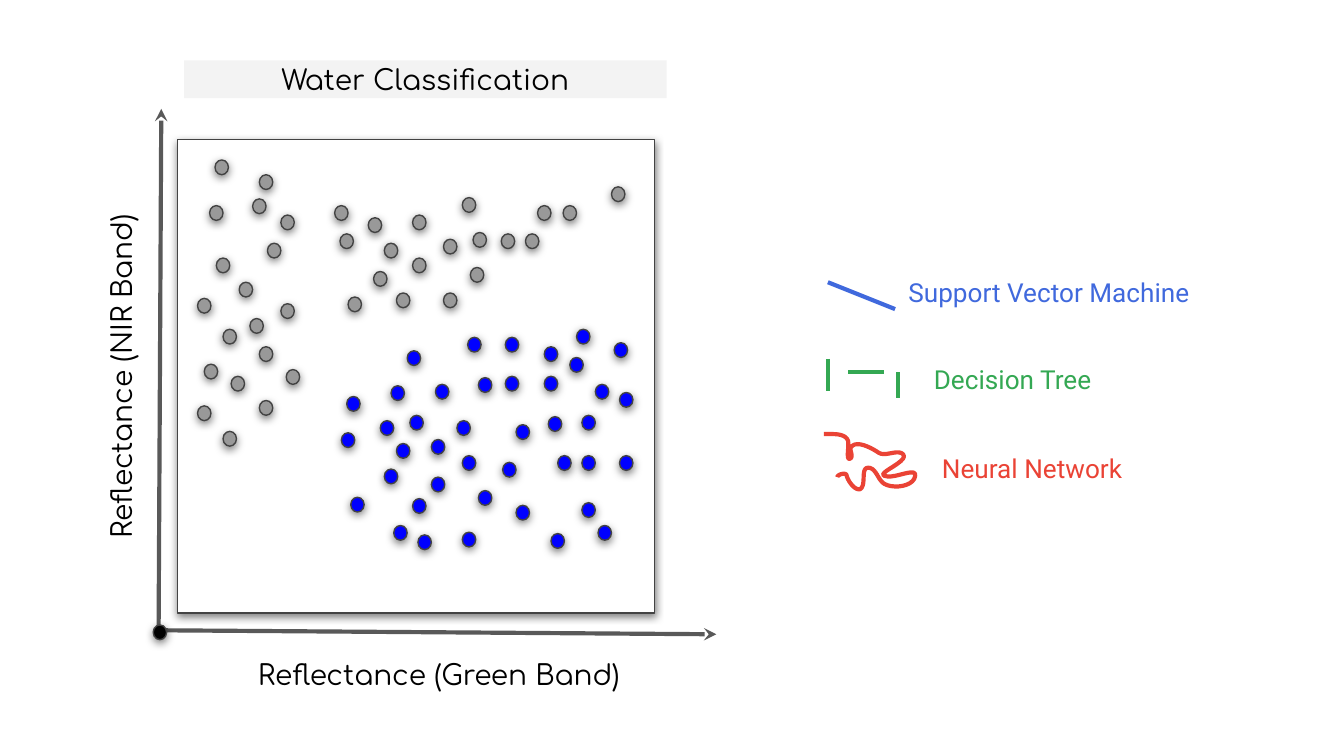
"""Build the water classification slide: a scatter sketch and its legend."""
from dataclasses import dataclass

from lxml.etree import SubElement
from pptx import Presentation
from pptx.dml.color import RGBColor
from pptx.enum.shapes import MSO_CONNECTOR, MSO_SHAPE
from pptx.enum.text import MSO_ANCHOR, MSO_AUTO_SIZE, PP_ALIGN
from pptx.oxml.ns import qn
from pptx.util import Cm, Pt


@dataclass(frozen=True)
class Theme:
    """Colours, fonts and sizes of the slide."""
    black: str = "000000"
    white: str = "FFFFFF"
    band: str = "F3F3F3"
    outline: str = "434343"
    axis: str = "595959"
    land: str = "999999"
    water: str = "0000FF"
    svm: str = "4069DD"
    tree: str = "34A853"
    network: str = "EA4335"
    label_font: str = "Comfortaa"
    legend_font: str = "Roboto"
    label_size: int = 15
    legend_size: int = 14
    thin: float = 0.75
    thick: float = 2.25


T = Theme()
DOT = (0.1, 0.11)

LAND = [
    (1.6, 1.19), (1.56, 1.53), (1.93, 1.3), (1.99, 1.81), (1.61, 1.92), (2.09, 1.6),
    (2.53, 1.74), (2.78, 2.02), (2.09, 2.26), (1.93, 2.58), (1.66, 2.45), (3.3, 2.18),
    (3.07, 1.92), (1.93, 2.98), (3.73, 1.74), (3.07, 1.6), (3.3, 1.78), (1.66, 3.21),
    (1.47, 2.22), (1.88, 1.48), (4.19, 1.53), (1.78, 2.1), (2.13, 2.75), (2.86, 1.81),
    (2.59, 2.21), (1.52, 2.71), (2.95, 2.18), (2.74, 1.62), (3.44, 1.47), (4, 1.53),
    (1.86, 2.37), (1.47, 3.02), (3.5, 1.99), (4.55, 1.39), (2.49, 1.53), (3.52, 1.73),
    (3.91, 1.74), (1.72, 2.8),
]
WATER = [
    (3.56, 2.81), (2.58, 2.95), (2.91, 2.87), (3.76, 2.51), (3.48, 2.51), (4.61, 2.92),
    (3.24, 2.86), (2.95, 3.3), (3.4, 3.13), (4.05, 2.58), (4.24, 2.66), (4.29, 2.45),
    (2.83, 3.13), (2.54, 3.22), (3.44, 3.39), (3.84, 3.16), (3.07, 3.71), (3.74, 3.44),
    (4.15, 3.39), (3.56, 3.65), (3.84, 3.76), (3.03, 2.61), (4.43, 2.86), (4.08, 3.1),
    (3.21, 3.27), (4.05, 2.8), (3.76, 2.8), (4.57, 2.55), (2.86, 3.49), (4.33, 3.09),
    (4.33, 3.74), (3.21, 3.55), (3.11, 3.98), (4.61, 3.39), (4.33, 3.39), (3.05, 3.09),
    (3.44, 3.96), (2.61, 3.7), (4.1, 3.97), (2.93, 3.91), (4.45, 3.91),
]
LEGEND = [
    ("Support Vector Machine", (6.66, 1.92, 2.41, 0.56), T.svm),
    ("Decision Tree", (6.85, 2.57, 1.76, 0.48), T.tree),
    ("Neural Network", (6.91, 3.23, 1.76, 0.48), T.network),
]
TREE_SPLITS = [(6.16, 2.67, 6.16, 2.91), (6.31, 2.77, 6.58, 2.77), (6.68, 2.77, 6.68, 2.96)]
SQUIGGLE_START = (6.13, 3.23)
SQUIGGLE = [
    (6.19, 3.23, 6.29, 3.22, 6.31, 3.28), (6.32, 3.32, 6.29, 3.44, 6.33, 3.41),
    (6.35, 3.39, 6.32, 3.35, 6.33, 3.33), (6.37, 3.27, 6.48, 3.33, 6.54, 3.37),
    (6.59, 3.4, 6.68, 3.34, 6.72, 3.38), (6.77, 3.43, 6.52, 3.52, 6.58, 3.54),
    (6.65, 3.57, 6.82, 3.47, 6.81, 3.54), (6.8, 3.62, 6.65, 3.64, 6.58, 3.6),
    (6.53, 3.57, 6.52, 3.48, 6.46, 3.48), (6.4, 3.48, 6.45, 3.61, 6.4, 3.64),
    (6.36, 3.65, 6.31, 3.58, 6.3, 3.54), (6.3, 3.51, 6.23, 3.53, 6.23, 3.55),
]


def cm(*inches):
    """Turn lengths in inches into a list of Cm lengths."""
    return [Cm(v * 2.54) for v in inches]


def rgb(color):
    """Turn a hex string into a colour."""
    return RGBColor.from_string(color)


def set_line(sp, color, width):
    """Give a shape or connector a solid line."""
    sp.line.color.rgb = rgb(color)
    sp.line.width = Pt(width)


def write(tf, text, *, font=T.label_font, size=T.label_size, color=T.black,
          align=PP_ALIGN.CENTER, anchor=MSO_ANCHOR.TOP, spacing=None, after=None):
    """Write one formatted paragraph into a text frame."""
    tf.word_wrap = True
    tf.auto_size = MSO_AUTO_SIZE.NONE
    tf.vertical_anchor = anchor
    tf.margin_left, tf.margin_top, tf.margin_right, tf.margin_bottom = cm(0.1, 0.1, 0.1, 0.1)
    p = tf.paragraphs[0]
    p.alignment = align
    if spacing:
        p.line_spacing = spacing
    if after:
        p.space_after = Pt(after)
    r = p.add_run()
    r.text = text
    r.font.name, r.font.size, r.font.color.rgb = font, Pt(size), rgb(color)


def add_label(s, text, box, **fmt):
    """Add a text box and return it."""
    sp = s.shapes.add_textbox(*cm(*box))
    write(sp.text_frame, text, **fmt)
    return sp


def add_title(s, text, box):
    """Place the title on its grey band."""
    sp = s.shapes.title
    sp.left, sp.top, sp.width, sp.height = cm(*box)
    sp.fill.solid()
    sp.fill.fore_color.rgb = rgb(T.band)
    write(sp.text_frame, text, anchor=MSO_ANCHOR.MIDDLE)


def add_shadowed(s, kind, box, fill):
    """Add an outlined shape with a soft shadow below it."""
    sp = s.shapes.add_shape(kind, *cm(*box))
    sp.fill.solid()
    sp.fill.fore_color.rgb = rgb(fill)
    set_line(sp, T.outline, T.thin)
    sp.shadow.inherit = False
    effects = sp._element.spPr.find(qn("a:effectLst"))
    shadow = SubElement(effects, qn("a:outerShdw"), blurRad=str(Pt(4.5)), dist=str(Pt(1.5)),
                        dir="5400000", algn="bl", rotWithShape="0")
    color = SubElement(shadow, qn("a:srgbClr"), val=T.black)
    SubElement(color, qn("a:alpha"), val="50000")


def add_line(s, ends, color, arrow=False):
    """Add a straight line, with an arrowhead at its end if asked."""
    sp = s.shapes.add_connector(MSO_CONNECTOR.STRAIGHT, *cm(*ends))
    set_line(sp, color, T.thick)
    if arrow:
        SubElement(sp.line._get_or_add_ln(), qn("a:tailEnd"), type="stealth")
    SubElement(sp._element.spPr, qn("a:effectLst"))


def curve_points(start, curves, steps=10):
    """Sample a chain of cubic curves after its start point."""
    points = []
    x0, y0 = start
    for x1, y1, x2, y2, x3, y3 in curves:
        for i in range(1, steps + 1):
            t = i / steps
            u = 1 - t
            weights = (u ** 3, 3 * u * u * t, 3 * u * t * t, t ** 3)
            points.append(cm(*(sum(w * v for w, v in zip(weights, axis))
                               for axis in ((x0, x1, x2, x3), (y0, y1, y2, y3)))))
        x0, y0 = x3, y3
    return points


def add_curve(s, start, curves, color):
    """Add an open smooth outline."""
    builder = s.shapes.build_freeform(*cm(*start))
    builder.add_line_segments(curve_points(start, curves), close=False)
    sp = builder.convert_to_shape()
    sp.fill.background()
    set_line(sp, color, T.thick)
    sp.shadow.inherit = False


def add_plot(s):
    """Add the axes, the plot area, its labels and its dots."""
    add_line(s, (1.18, 4.72, 1.2, 0.81), T.axis, arrow=True)
    add_line(s, (1.19, 4.69, 5.33, 4.72), T.axis, arrow=True)
    add_shadowed(s, MSO_SHAPE.RECTANGLE, (1.32, 1.04, 3.55, 3.52), T.white)
    add_label(s, "Reflectance (Green Band)", (1.47, 4.79, 3.59, 0.24))
    sp = add_label(s, "Reflectance (NIR Band)", (-0.55, 2.63, 2.79, 0.34))
    sp.rotation = 270
    for dots, color in (([(1.14, 4.65)], T.black), (LAND, T.land), (WATER, T.water)):
        for dot in dots:
            add_shadowed(s, MSO_SHAPE.OVAL, dot + DOT, color)


def add_legend(s):
    """Add the three classifiers with their boundary samples."""
    for text, box, color in LEGEND:
        add_label(s, text, box, font=T.legend_font, size=T.legend_size, color=color,
                  align=PP_ALIGN.LEFT, spacing=1.15, after=32)
    add_line(s, (6.16, 2.1, 6.66, 2.3), T.svm)
    for split in TREE_SPLITS:
        add_line(s, split, T.tree)
    add_curve(s, SQUIGGLE_START, SQUIGGLE, T.network)


def main():
    """Build and save the slide."""
    prs = Presentation()
    prs.slide_width, prs.slide_height = cm(10, 5.625)
    s = prs.slides.add_slide(prs.slide_layouts[5])
    add_title(s, "Water Classification", (1.37, 0.45, 3.59, 0.28))
    add_plot(s)
    add_legend(s)
    prs.save("out.pptx")


if __name__ == "__main__":
    main()
